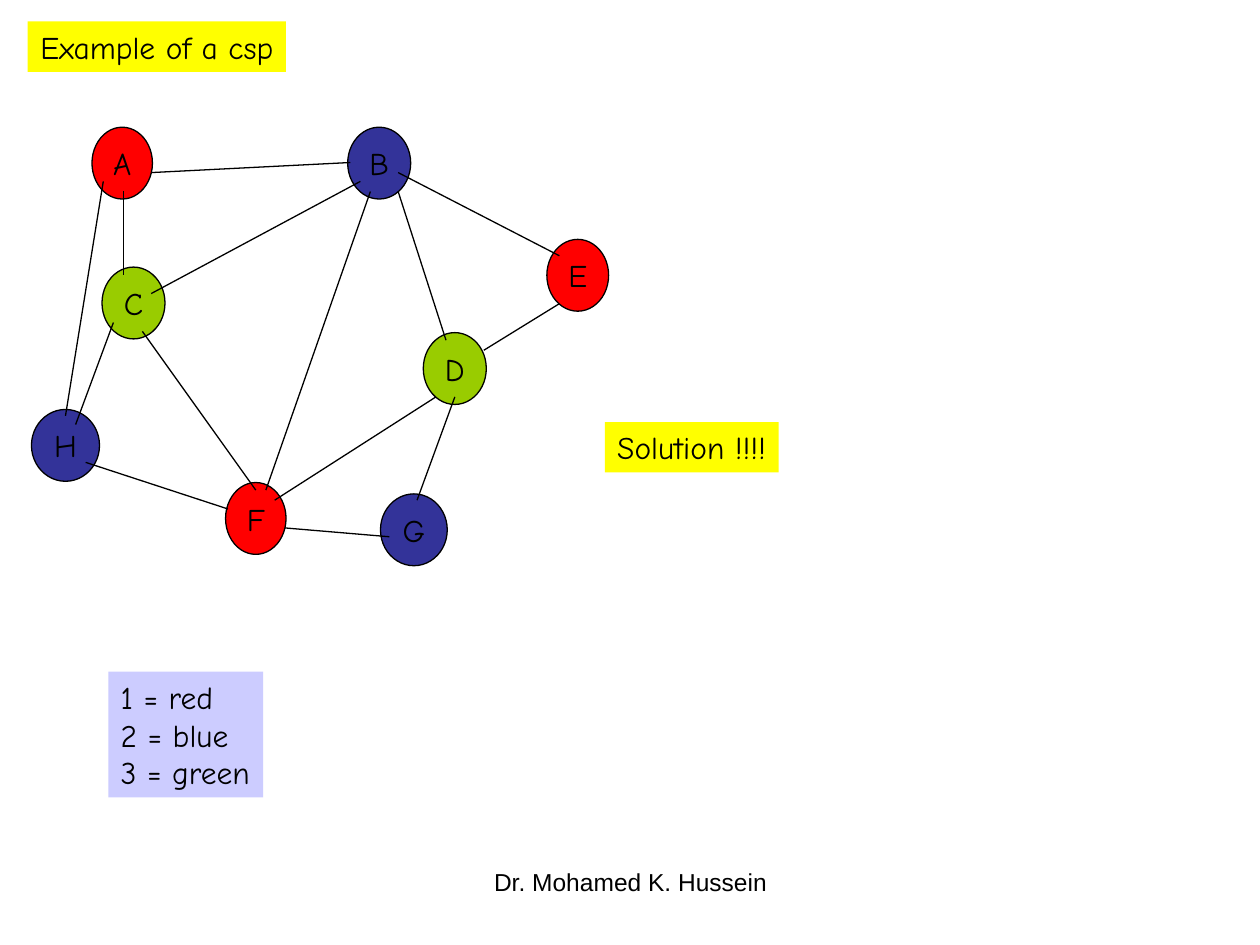
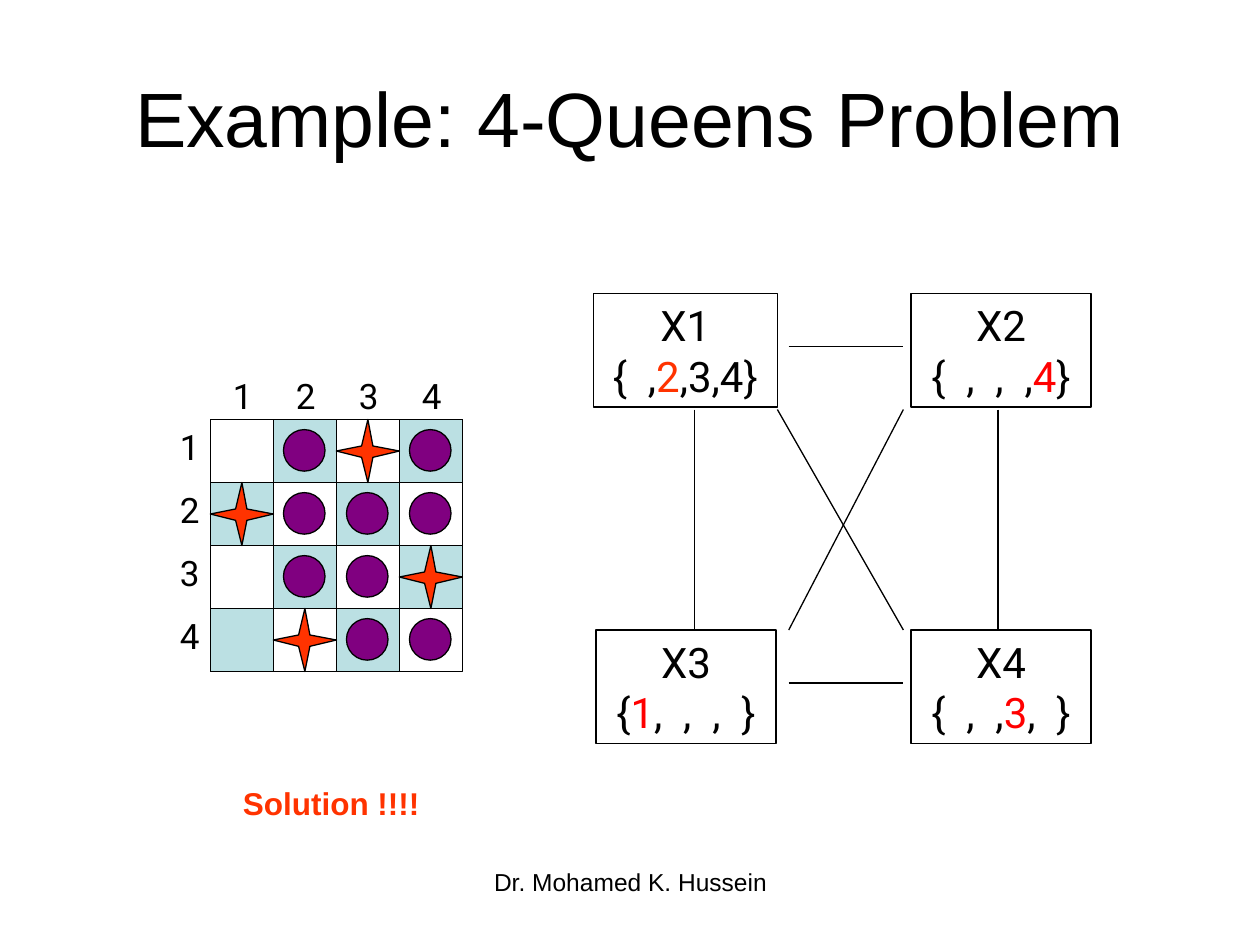
from lxml import etree
from pptx import Presentation
from pptx.dml.color import RGBColor
from pptx.enum.shapes import MSO_CONNECTOR, MSO_SHAPE as Shape
from pptx.enum.text import MSO_ANCHOR as Anchor, MSO_AUTO_SIZE as AutoSize, PP_ALIGN as Align
from pptx.oxml.ns import qn
from pptx.util import Inches, Pt

rgb = RGBColor.from_string
BLACK, YELLOW, LILAC, TEAL = "000000", "FFFF00", "CCCCFF", "BBE0E3"
RED, BLUE, GREEN, ORANGE, PURPLE = "FF0000", "333399", "99CC00", "FF3300", "800080"
COMIC, ROBOTO, ARIAL = "Comic Neue", "Roboto", "Arial"


def paint(shape, fill=None, outline=BLACK):
    shape.shadow.inherit = False
    if fill:
        shape.fill.solid()
        shape.fill.fore_color.rgb = rgb(fill)
    else:
        shape.fill.background()
    if outline:
        shape.line.color.rgb = rgb(outline)
        shape.line.width = Pt(0.75)
    else:
        shape.line.fill.background()


def write(shape, lines, font, size, align=Align.LEFT, anchor=Anchor.TOP,
          wrap=False, fit=AutoSize.SHAPE_TO_FIT_TEXT):
    """Fill a shape with lines, each a list of (text, colour) runs."""
    frame = shape.text_frame
    frame.word_wrap = wrap
    frame.auto_size = fit
    frame.vertical_anchor = anchor
    for number, spans in enumerate(lines):
        para = frame.add_paragraph() if number else frame.paragraphs[0]
        para.alignment = align
        for text, colour in spans:
            span = para.add_run()
            span.text = text
            span.font.name = font
            span.font.size = Pt(size)
            span.font.color.rgb = rgb(colour)


deck = Presentation()
deck.slide_width, deck.slide_height = Inches(10), Inches(7.5)
title_only = deck.slide_layouts[5]

# Slide 1: map colouring as a constraint graph
graph_page = deck.slides.add_slide(title_only)
title = graph_page.shapes.title
title.left, title.top, title.width, title.height = map(Inches, (0.22, 0.17, 2.05, 0.4))
paint(title, YELLOW, None)
write(title, [[("Example of a csp", BLACK)]], COMIC, 18, fit=AutoSize.NONE)
title.text_frame.margin_right = 0  # keeps the heading on one line

nodes = [
    ("A", 0.73, 1.01, 0.48, RED), ("B", 2.76, 1.01, 0.5, BLUE),
    ("C", 0.81, 2.12, 0.5, GREEN), ("D", 3.36, 2.64, 0.5, GREEN),
    ("E", 4.34, 1.9, 0.49, RED), ("F", 1.79, 3.83, 0.48, RED),
    ("G", 3.02, 3.92, 0.53, BLUE), ("H", 0.25, 3.25, 0.54, BLUE),
]
for name, left, top, width, colour in nodes:
    node = graph_page.shapes.add_shape(
        Shape.OVAL, Inches(left), Inches(top), Inches(width), Inches(0.57))
    paint(node, colour)
    write(node, [[(name, BLACK)]], COMIC, 18, Align.CENTER, Anchor.MIDDLE)

notes = [
    (0.86, 5.33, 1.23, 1, LILAC, ["1 = red", "2 = blue", "3 = green"]),
    (4.8, 3.35, 1.38, 0.4, YELLOW, ["Solution !!!!"]),
]
for left, top, width, height, colour, lines in notes:
    note = graph_page.shapes.add_shape(
        Shape.RECTANGLE, Inches(left), Inches(top), Inches(width), Inches(height))
    paint(note, colour, None)
    write(note, [[(line, BLACK)] for line in lines], COMIC, 18)

graph_edges = [
    (0.98, 1.52, 0.98, 2.18),  # A-C
    (1.2, 2.33, 2.86, 1.44),   # C-B
    (2.03, 3.89, 1.13, 2.63),  # F-C
    (2.18, 3.97, 3.46, 3.15),  # F-D
    (1.2, 1.37, 2.78, 1.29),   # A-B
    (2.11, 3.89, 2.94, 1.52),  # F-B
    (3.16, 1.52, 3.54, 2.7),   # B-D
    (3.16, 1.37, 4.44, 2.03),  # B-E
    (3.84, 2.78, 4.44, 2.41),  # D-E
    (2.26, 4.19, 3.09, 4.26),  # F-G
    (3.61, 3.15, 3.31, 3.97),  # D-G
    (0.9, 2.56, 0.6, 3.37),    # C-H
    (0.68, 3.67, 1.81, 4.04),  # H-F
    (0.82, 1.44, 0.52, 3.3),   # A-H
]

# Slide 2: four queens, board and constraint graph
queens_page = deck.slides.add_slide(title_only)
title = queens_page.shapes.title
title.left, title.top, title.width, title.height = map(Inches, (0.5, 0.3, 9, 1.25))
write(title, [[("Example: 4-Queens Problem", BLACK)]], ARIAL, 44,
      Align.CENTER, Anchor.MIDDLE, True, AutoSize.NONE)

board_left, board_top, cell = 1.67, 3.33, 0.5
board = queens_page.shapes.add_shape(
    Shape.RECTANGLE, Inches(board_left), Inches(board_top), Inches(4 * cell), Inches(4 * cell))
paint(board)

squares = [(row, column) for row in range(4) for column in range(4)]
for row, column in squares:
    if (row + column) % 2:
        square = queens_page.shapes.add_shape(
            Shape.RECTANGLE, Inches(board_left + column * cell),
            Inches(board_top + row * cell), Inches(cell), Inches(cell))
        paint(square, TEAL)

for index in range(4):
    for left, top in ((1.33, board_top + index * cell), (1.75 + index * cell, 2.92)):
        label = queens_page.shapes.add_textbox(
            Inches(left), Inches(top), Inches(0.36), Inches(0.44))
        write(label, [[(str(index + 1), BLACK)]], ROBOTO, 20)

queens = {(0, 2), (1, 0), (2, 3), (3, 1)}
star = [(-0.25, 0), (-0.05, -0.04), (0, -0.25), (0.04, -0.04),
        (0.25, 0), (0.04, 0.05), (0, 0.25), (-0.05, 0.05)]
for row, column in squares:
    x = board_left + (column + 0.5) * cell
    y = board_top + (row + 0.5) * cell
    if (row, column) in queens:
        points = [(Inches(x + dx), Inches(y + dy)) for dx, dy in star]
        builder = queens_page.shapes.build_freeform(*points[0])
        builder.add_line_segments(points[1:], close=True)
        paint(builder.convert_to_shape(), ORANGE)
    elif column > 0:
        attacked = queens_page.shapes.add_shape(
            Shape.OVAL, Inches(x - 0.17), Inches(y - 0.17), Inches(0.33), Inches(0.33))
        paint(attacked, PURPLE)

variables = [
    ("X1", 4.71, 2.33, 1.46, [("{  ,", BLACK), ("2", ORANGE), (",3,4}", BLACK)]),
    ("X2", 7.23, 2.33, 1.43, [("{  ,  ,  ,", BLACK), ("4", RED), ("}", BLACK)]),
    ("X3", 4.73, 5, 1.43, [("{", BLACK), ("1", RED), (",  ,  ,  }", BLACK)]),
    ("X4", 7.23, 5, 1.43, [("{  ,  ,", BLACK), ("3", RED), (",  }", BLACK)]),
]
for name, left, top, width, domain in variables:
    variable = queens_page.shapes.add_shape(
        Shape.RECTANGLE, Inches(left), Inches(top), Inches(width), Inches(0.9))
    paint(variable)
    write(variable, [[(name, BLACK)], domain], ROBOTO, 24, Align.CENTER)

solution = queens_page.shapes.add_textbox(
    Inches(1.83), Inches(6.17), Inches(2.42), Inches(0.4))
write(solution, [[("Solution !!!!", ORANGE)]], ARIAL, 18, wrap=True)
solution.text_frame.paragraphs[0].runs[0].font.bold = True

constraints = [
    (6.26, 2.75, 7.17, 2.75), (5.51, 3.25, 5.51, 5), (6.26, 5.42, 7.17, 5.42),
    (7.92, 3.25, 7.92, 5), (6.17, 3.25, 7.17, 5), (7.17, 3.25, 6.26, 5),
]

# Both slides: graph edges and footer
for page, edges in ((graph_page, graph_edges), (queens_page, constraints)):
    for ends in edges:
        edge = page.shapes.add_connector(MSO_CONNECTOR.STRAIGHT, *map(Inches, ends))
        edge.line.color.rgb = rgb(BLACK)
        edge.line.width = Pt(0.75)
        etree.SubElement(edge._element.spPr, qn("a:effectLst"))
    footer = page.shapes.add_textbox(Inches(3.42), Inches(6.83), Inches(3.17), Inches(0.52))
    write(footer, [[("Dr. Mohamed K. Hussein", BLACK)]], ARIAL, 14,
          Align.CENTER, wrap=True, fit=AutoSize.NONE)

deck.save("out.pptx")
